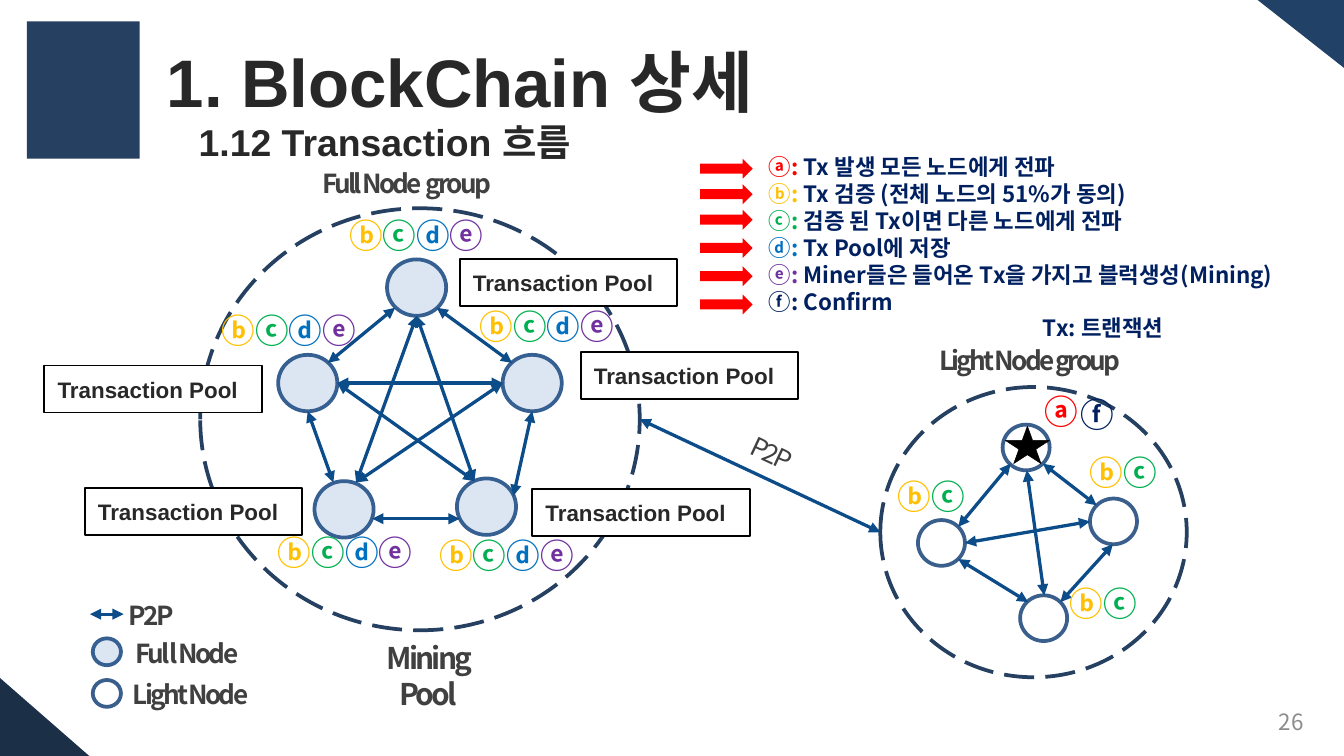
from dataclasses import dataclass

from lxml import etree
from pptx import Presentation
from pptx.dml.color import RGBColor
from pptx.enum.dml import MSO_LINE
from pptx.enum.shapes import MSO_CONNECTOR, MSO_SHAPE
from pptx.enum.text import MSO_ANCHOR, MSO_AUTO_SIZE, PP_ALIGN
from pptx.oxml.ns import qn
from pptx.util import Inches, Pt

OVAL, RECT = MSO_SHAPE.OVAL, MSO_SHAPE.RECTANGLE
STAR, ARROW = MSO_SHAPE.STAR_5_POINT, MSO_SHAPE.RIGHT_ARROW
STRAIGHT, DASH = MSO_CONNECTOR.STRAIGHT, MSO_LINE.LONG_DASH
TOP, MIDDLE = MSO_ANCHOR.TOP, MSO_ANCHOR.MIDDLE
LEFT, CENTER, RIGHT = PP_ALIGN.LEFT, PP_ALIGN.CENTER, PP_ALIGN.RIGHT
FIXED = MSO_AUTO_SIZE.NONE

NAVY = RGBColor(0x25, 0x40, 0x61)
STEEL = RGBColor(0x17, 0x37, 0x5E)
NIGHT = RGBColor(0x0F, 0x24, 0x3E)
LINK = RGBColor(0x0C, 0x4C, 0x89)
RIM = RGBColor(0x37, 0x60, 0x92)
EDGE = RGBColor(0x3A, 0x5F, 0x8C)
PALE = RGBColor(0xDC, 0xE6, 0xF2)
INK = RGBColor(0x28, 0x28, 0x28)
GRAY = RGBColor(0x40, 0x40, 0x40)
SILVER = RGBColor(0x8C, 0x8C, 0x8C)
BLACK = RGBColor(0, 0, 0)
WHITE = RGBColor(0xFF, 0xFF, 0xFF)
RED = RGBColor(0xFF, 0, 0)
GOLD = RGBColor(0xFF, 0xC0, 0)
GREEN = RGBColor(0, 0xB0, 0x50)
BLUE = RGBColor(0, 0x70, 0xC0)
PURPLE = RGBColor(0x70, 0x30, 0xA0)
DEEP = RGBColor(0, 0x20, 0x60)

SANS, KOREAN = "Arial", "Noto Sans CJK KR"
MARKS = {"ⓐ": RED, "ⓑ": GOLD, "ⓒ": GREEN, "ⓓ": BLUE, "ⓔ": PURPLE, "ⓕ": DEEP}


@dataclass
class Box:
    x: float
    y: float
    w: float
    h: float


@dataclass
class Label:
    text: str
    box: Box
    size: float = 14
    font: str = KOREAN
    color: RGBColor = GRAY
    bold: bool = True
    space: int = -150
    align: PP_ALIGN = LEFT
    anchor: MSO_ANCHOR = TOP
    lead: float = 1.0
    turn: float = 0


@dataclass
class Step:
    mark: str
    text: str
    y: float


def place(shape, box: Box) -> None:
    shape.left, shape.top = Inches(box.x), Inches(box.y)
    shape.width, shape.height = Inches(box.w), Inches(box.h)


def add_run(para, text: str, size: float, font: str, color: RGBColor,
            bold: bool = True, space: int = 0) -> None:
    run = para.add_run()
    run.text = text
    run.font.size, run.font.bold, run.font.name = Pt(size), bold, font
    run.font.color.rgb = color
    props = run.font._element
    etree.SubElement(props, qn("a:ea")).set("typeface", KOREAN)
    if space:
        props.set("spc", str(space))


def write(shape, label: Label) -> None:
    frame = shape.text_frame
    frame.word_wrap, frame.auto_size = True, FIXED
    frame.vertical_anchor = label.anchor
    para = frame.paragraphs[0]
    para.alignment, para.line_spacing = label.align, label.lead
    add_run(para, label.text, label.size, label.font, label.color, label.bold, label.space)


def add_label(slide, label: Label) -> None:
    shape = slide.shapes.add_textbox(0, 0, 0, 0)
    place(shape, label.box)
    shape.rotation = label.turn
    write(shape, label)


def add_marks(slide, text: str, box: Box) -> None:
    shape = slide.shapes.add_textbox(0, 0, 0, 0)
    place(shape, box)
    shape.text_frame.word_wrap = True
    para = shape.text_frame.paragraphs[0]
    for mark in text:
        add_run(para, mark, 18, KOREAN, MARKS[mark])


def paint(shape, fill: RGBColor | None, line: RGBColor | None, width: float = 2) -> None:
    shape.shadow.inherit = False
    if fill is None:
        shape.fill.background()
    else:
        shape.fill.solid()
        shape.fill.fore_color.rgb = fill
    if line is None:
        shape.line.fill.background()
    else:
        shape.line.color.rgb = line
        shape.line.width = Pt(width)


def add_form(slide, kind: MSO_SHAPE, box: Box, fill: RGBColor | None,
             line: RGBColor | None = None, width: float = 2):
    shape = slide.shapes.add_shape(kind, 0, 0, 0, 0)
    place(shape, box)
    paint(shape, fill, line, width)
    return shape


def add_corner(slide, points: list[tuple[float, float]], color: RGBColor) -> None:
    spots = [(Inches(x), Inches(y)) for x, y in points]
    pen = slide.shapes.build_freeform(*spots[0])
    pen.add_line_segments(spots[1:], close=True)
    shape = pen.convert_to_shape()
    paint(shape, color, None)
    tint = shape._element.spPr.find(qn("a:solidFill"))[0]
    etree.SubElement(tint, qn("a:alpha")).set("val", "95000")


def add_link(slide, ends: tuple[float, float, float, float]) -> None:
    link = slide.shapes.add_connector(STRAIGHT, *map(Inches, ends))
    link.line.color.rgb, link.line.width = LINK, Pt(1.75)
    line = link.line._get_or_add_ln()
    for tag in ("a:headEnd", "a:tailEnd"):
        etree.SubElement(line, qn(tag)).set("type", "triangle")
    etree.SubElement(link._element.spPr, qn("a:effectLst"))


def add_steps(slide, body, steps: list[Step]) -> None:
    place(body, Box(5.62, 1.09, 4.38, 1.51))
    frame = body.text_frame
    frame.word_wrap, frame.auto_size, frame.vertical_anchor = True, FIXED, TOP
    for i, step in enumerate(steps):
        para = frame.paragraphs[0] if i == 0 else frame.add_paragraph()
        para.space_before, para.line_spacing = Pt(0), 1.0
        props = para._p.get_or_add_pPr()
        props.set("marL", str(0 if step.mark else Inches(2.04)))
        props.set("indent", "0")
        etree.SubElement(props, qn("a:buNone"))
        if step.mark:
            add_run(para, step.mark + ": ", 12, KOREAN, MARKS[step.mark])
            add_form(slide, ARROW, Box(5.21, step.y, 0.39, 0.15), RED)
        add_run(para, step.text, 12, KOREAN, DEEP)


STEPS = [
    Step("ⓐ", "Tx 발생 모든 노드에게 전파", 1.18),
    Step("ⓑ", "Tx 검증 (전체 노드의 51%가 동의)", 1.37),
    Step("ⓒ", "검증 된 Tx이면 다른 노드에게 전파", 1.56),
    Step("ⓓ", "Tx Pool에 저장", 1.77),
    Step("ⓔ", "Miner들은 들어온 Tx을 가지고 블럭생성(Mining)", 1.98),
    Step("ⓕ", "Confirm", 2.19),
    Step("", "Tx: 트랜잭션", 0),
]
LINKS = [
    (3.74, 2.85, 2.65, 3.59), (3.1, 2.35, 2.65, 3.59), (3.1, 2.35, 3.53, 3.58),
    (2.51, 2.85, 3.74, 2.85), (2.51, 2.85, 3.53, 3.58), (2.77, 3.86, 3.42, 3.86),
    (3.96, 3.06, 3.82, 3.69), (3.25, 2.29, 3.81, 2.7), (2.29, 3.06, 2.48, 3.59),
    (2.44, 2.7, 2.94, 2.29), (0.67, 4.57, 0.92, 4.57), (7.13, 4.16, 7.65, 4.48),
    (8.28, 4.05, 7.89, 4.48), (7.64, 3.5, 7.77, 4.43), (7.76, 3.45, 8.16, 3.76),
    (7.18, 4.04, 8.11, 3.88), (7.13, 3.92, 7.52, 3.45), (4.76, 3.12, 6.55, 3.96),
]
FULL = [(2.88, 1.93), (2.07, 2.64), (2.34, 3.58), (3.74, 2.64), (3.4, 3.56)]
LIGHT = [(7.59, 4.43), (8.11, 3.71), (7.46, 3.16), (6.83, 3.87)]
POOLS = [(3.42, 1.93), (0.33, 2.72), (0.63, 3.63), (4.32, 2.62), (3.96, 3.64)]
GROUPS = [
    ("ⓐ", 0.42, 0.4, [(7.67, 2.86)]),
    ("ⓕ", 0.42, 0.4, [(7.94, 2.88)]),
    ("ⓑⓒ", 0.72, 0.71, [(6.58, 3.49), (8.01, 3.31), (7.86, 4.29)]),
    ("ⓑⓒⓓⓔ", 1.3, 1.01,
     [(1.55, 2.26), (2.5, 1.55), (3.47, 2.23), (3.17, 3.93), (1.97, 3.91)]),
]
LABELS = [
    Label("1.12 Transaction 흐름", Box(1.38, 0.6, 7.81, 0.74), 20, SANS, INK,
          space=0, anchor=MIDDLE, lead=1.5),
    Label("Mining Pool", Box(2.77, 4.71, 0.83, 0.64), 16, align=CENTER),
    Label("Light Node", Box(0.89, 5, 1.61, 0.34)),
    Label("Ful l Node", Box(0.91, 4.69, 1.61, 0.34)),
    Label("P2P", Box(0.86, 4.41, 2.46, 0.34)),
    Label("P2P", Box(5.48, 3.23, 0.62, 0.34), bold=False, turn=25.2),
    Label("Light Node group", Box(6.89, 2.51, 1.61, 0.34)),
    Label("Full Node  group", Box(2.3, 1.2, 1.61, 0.34)),
    Label("26", Box(7.47, 5.22, 2.33, 0.3), 12, color=SILVER, bold=False, space=0,
          align=RIGHT, anchor=MIDDLE),
]


def main() -> None:
    deck = Presentation()
    deck.slide_width = Inches(10)
    deck.slide_height = deck.slide_width * 9 // 16
    slide = deck.slides.add_slide(deck.slide_layouts[1])
    title, body = slide.placeholders
    head = Label("1. BlockChain 상세", Box(1.14, 0.08, 7.96, 0.74), 36, SANS, INK,
                 space=0, anchor=MIDDLE, lead=1.5)
    place(title, head.box)
    write(title, head)
    add_corner(slide, [(9.23, -0.1), (10.12, -0.1), (10.12, 0.6)], STEEL)
    add_corner(slide, [(-0.12, 4.94), (-0.12, 5.7), (0.75, 5.7)], NIGHT)
    add_form(slide, RECT, Box(0.2, 0.16, 0.84, 1.02), NAVY)
    for ring in (Box(1.49, 1.55, 3.27, 3.14), Box(6.55, 2.88, 2.28, 2.16)):
        add_form(slide, OVAL, ring, None, NAVY).line.dash_style = DASH
    for x, y in FULL:
        add_form(slide, OVAL, Box(x, y, 0.44, 0.42), PALE, RIM)
    for x, y in LIGHT:
        add_form(slide, OVAL, Box(x, y, 0.35, 0.34), None, EDGE)
    for y, fill, rim in ((4.75, PALE, RIM), (5.06, None, EDGE)):
        add_form(slide, OVAL, Box(0.69, y, 0.21, 0.2), fill, rim)
    for ends in LINKS:
        add_link(slide, ends)
    for x, y in POOLS:
        box = Box(x, y, 1.62, 0.35)
        pool = add_form(slide, RECT, box, WHITE, BLACK, 1)
        write(pool, Label("Transaction Pool", box, 12, SANS, INK, space=0, anchor=MIDDLE))
    add_form(slide, STAR, Box(7.48, 3.17, 0.33, 0.28), BLACK, BLACK, 0.25)
    for text, w, h, spots in GROUPS:
        for x, y in spots:
            add_marks(slide, text, Box(x, y, w, h))
    for label in LABELS:
        add_label(slide, label)
    add_steps(slide, body, STEPS)
    deck.save("out.pptx")


if __name__ == "__main__":
    main()
